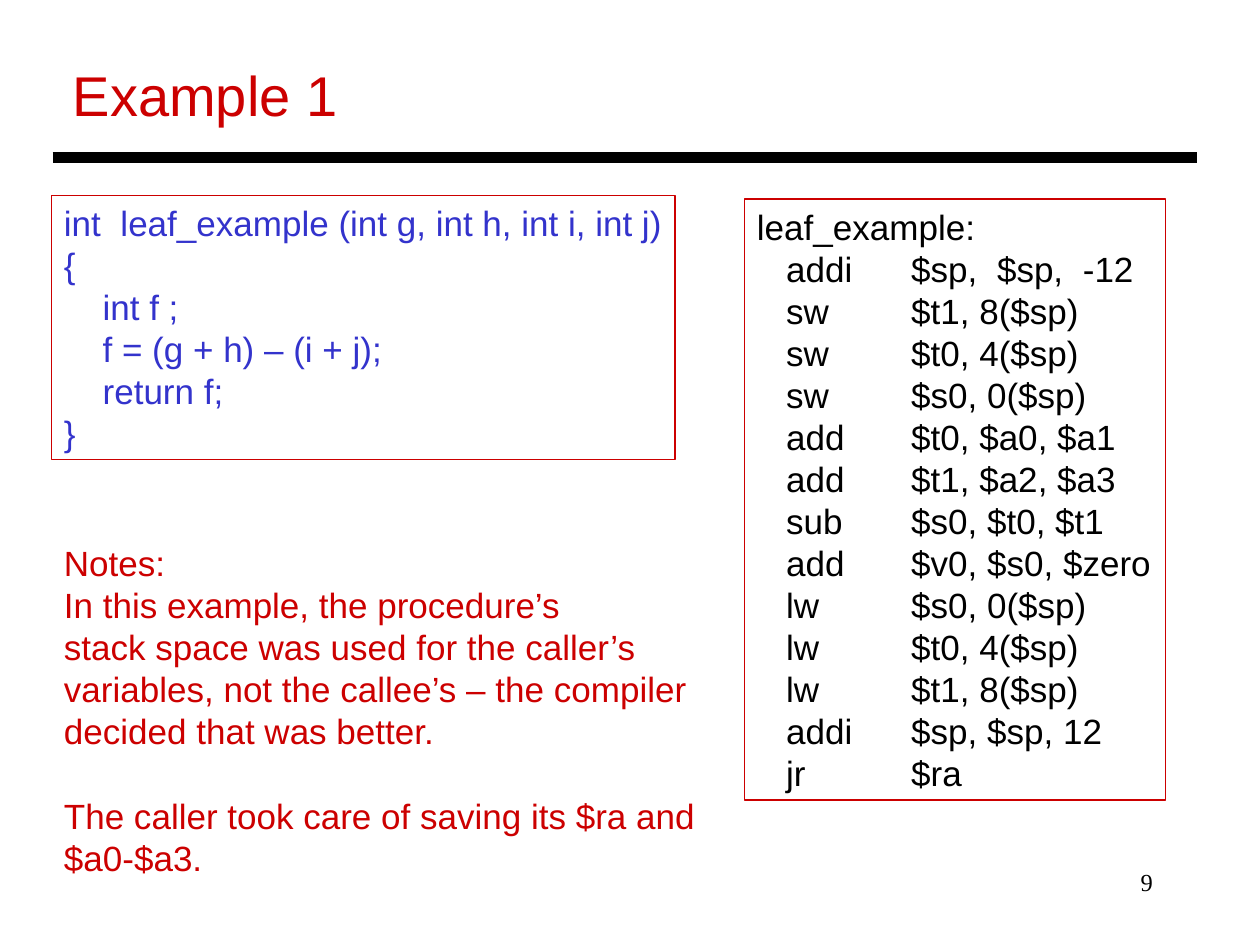
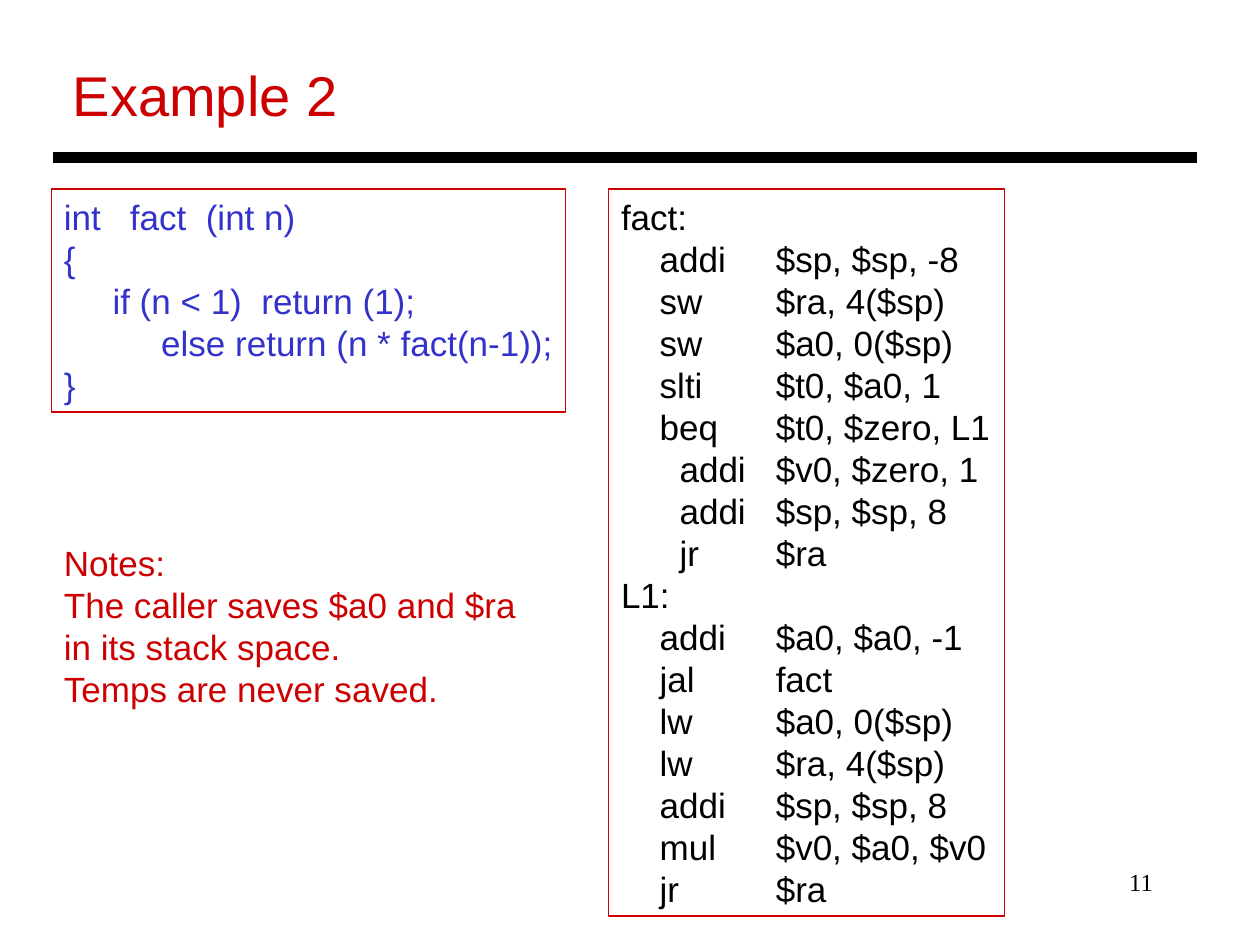
from dataclasses import dataclass
from typing import NamedTuple

from lxml.etree import SubElement
from pptx import Presentation
from pptx.dml.color import RGBColor
from pptx.enum.shapes import MSO_CONNECTOR, MSO_SHAPE
from pptx.enum.text import MSO_ANCHOR, PP_ALIGN
from pptx.oxml.ns import qn
from pptx.util import Cm, Pt

# Shared style
RED = RGBColor(0xCC, 0x00, 0x00)
BLUE = RGBColor(0x33, 0x33, 0xCC)
BLACK = RGBColor(0x00, 0x00, 0x00)
SANS, SERIF = "Arial", "Times New Roman"
TITLE_SIZE, BODY_SIZE, NUMBER_SIZE = 32, 20, 14
LINE_HEIGHT = 1.2
LEFT = 1.04
NOTES_TOP = 10.8


class Area(NamedTuple):
    """Left, top, width and height in centimetres."""
    left: float
    top: float
    width: float
    height: float

    def lengths(self) -> list:
        return [Cm(value) for value in self]


class Line(NamedTuple):
    """One paragraph; tabs in its text jump to the stops (centimetres)."""
    text: str
    stops: tuple = ()
    gap_before: float = 0


@dataclass
class Block:
    area: Area
    lines: list
    color: RGBColor
    framed: bool = True
    size: int = BODY_SIZE
    font: str = SANS
    align: PP_ALIGN = PP_ALIGN.LEFT


@dataclass
class Example:
    title: str
    number: str
    blocks: list


def aligned(texts: list, *stops: float) -> list:
    return [Line(text, stops) for text in texts]


def add_tab_stops(para, stops: tuple) -> None:
    tab_list = SubElement(para._p.get_or_add_pPr(), qn("a:tabLst"))
    for stop in stops:
        SubElement(tab_list, qn("a:tab"), pos=str(Cm(stop)), algn="l")


def draw_block(page, block: Block) -> None:
    lengths = block.area.lengths()
    if block.framed:
        box = page.shapes.add_shape(MSO_SHAPE.RECTANGLE, *lengths)
        box.shadow.inherit = False
        box.fill.background()
        box.line.color.rgb = RED
        box.line.width = Pt(0.75)
    else:
        box = page.shapes.add_textbox(*lengths)
    frame = box.text_frame
    frame.word_wrap = True
    frame.vertical_anchor = MSO_ANCHOR.TOP
    if block.align == PP_ALIGN.LEFT:
        frame.margin_right = 0
    for index, line in enumerate(block.lines):
        para = frame.add_paragraph() if index else frame.paragraphs[0]
        para.alignment = block.align
        para.line_spacing = Pt(block.size * LINE_HEIGHT)
        if line.gap_before:
            para.space_before = Pt(line.gap_before)
        if line.stops:
            add_tab_stops(para, line.stops)
        span = para.add_run()
        span.text = line.text
        span.font.name = block.font
        span.font.size = Pt(block.size)
        span.font.color.rgb = block.color


def draw_rule(page) -> None:
    rule = page.shapes.add_connector(
        MSO_CONNECTOR.STRAIGHT, Cm(1.06), Cm(3.18), Cm(24.13), Cm(3.18))
    rule.line.color.rgb = BLACK
    rule.line.width = Pt(6)
    SubElement(rule._element.spPr, qn("a:effectLst"))


def draw_example(deck, example: Example) -> None:
    page = deck.slides.add_slide(deck.slide_layouts[6])
    draw_block(page, Block(Area(18.21, 17.35, 5.28, 1.27), [Line(example.number)],
                           BLACK, False, NUMBER_SIZE, SERIF, PP_ALIGN.RIGHT))
    draw_block(page, Block(Area(1.22, 1.09, 5.84, 1.63), [Line(example.title)],
                           RED, False, TITLE_SIZE))
    draw_rule(page)
    for block in example.blocks:
        draw_block(page, block)


# Example 1: a leaf procedure
LEAF = Example("Example 1", "9", [
    Block(Area(LEFT, 3.94, 12.57, 5.33), [
        Line("int\tleaf_example (int g, int h, int i, int j)", (1.14,)),
        Line("{"),
        *aligned(["\tint f ;", "\tf = (g + h) – (i + j);", "\treturn f;"], 0.78),
        Line("}"),
    ], BLUE),
    Block(Area(15.01, 4.01, 8.48, 12.12), [
        Line("leaf_example:"),
        *aligned([
            "\taddi\t$sp,\t$sp,\t-12",
            "\tsw\t$t1, 8($sp)",
            "\tsw\t$t0, 4($sp)",
            "\tsw\t$s0, 0($sp)",
            "\tadd\t$t0, $a0, $a1",
            "\tadd\t$t1, $a2, $a3",
            "\tsub\t$s0, $t0, $t1",
            "\tadd\t$v0, $s0, $zero",
            "\tlw\t$s0, 0($sp)",
            "\tlw\t$t0, 4($sp)",
            "\tlw\t$t1, 8($sp)",
            "\taddi\t$sp, $sp, 12",
            "\tjr\t$ra",
        ], 0.59, 3.11, 4.84, 6.57),
    ], BLACK),
    Block(Area(LEFT, NOTES_TOP, 13.23, 7.04), [
        Line("Notes:"),
        Line("In this example, the procedure’s"),
        Line("stack space was used for the caller’s"),
        Line("variables, not the callee’s – the compiler"),
        Line("decided that was better."),
        Line("The caller took care of saving its $ra and",
             gap_before=BODY_SIZE * LINE_HEIGHT),
        Line("$a0-$a3."),
    ], RED, framed=False),
])

# Example 2: a recursive procedure
FACTORIAL = Example("Example 2", "11", [
    Block(Area(LEFT, 3.81, 10.36, 4.5), [
        Line("int\tfact\t(int n)", (1.33, 2.86)),
        Line("{"),
        Line("\tif (n < 1)\treturn (1);", (0.98, 3.98)),
        Line("\telse return (n * fact(n-1));", (1.96,)),
        Line("}"),
    ], BLUE),
    Block(Area(12.27, 3.81, 7.98, 14.66), [
        Line("fact:"),
        *aligned([
            "\taddi\t$sp, $sp, -8",
            "\tsw\t$ra, 4($sp)",
            "\tsw\t$a0, 0($sp)",
            "\tslti\t$t0, $a0, 1",
            "\tbeq\t$t0, $zero, L1",
        ], 0.78, 3.12),
        *aligned([
            "\taddi\t$v0, $zero, 1",
            "\taddi\t$sp, $sp, 8",
            "\tjr\t$ra",
        ], 1.18, 3.12),
        Line("L1:"),
        *aligned([
            "\taddi\t$a0, $a0, -1",
            "\tjal\tfact",
            "\tlw\t$a0, 0($sp)",
            "\tlw\t$ra, 4($sp)",
            "\taddi\t$sp, $sp, 8",
            "\tmul\t$v0, $a0, $v0",
            "\tjr\t$ra",
        ], 0.78, 3.12),
    ], BLACK),
    Block(Area(LEFT, NOTES_TOP, 9.63, 3.66), [
        Line("Notes:"),
        Line("The caller saves $a0 and $ra"),
        Line("in its stack space."),
        Line("Temps are never saved."),
    ], RED, framed=False),
])


def main() -> None:
    deck = Presentation()
    deck.slide_width, deck.slide_height = Cm(25.4), Cm(19.05)
    for example in (LEAF, FACTORIAL):
        draw_example(deck, example)
    deck.save("out.pptx")


if __name__ == "__main__":
    main()
